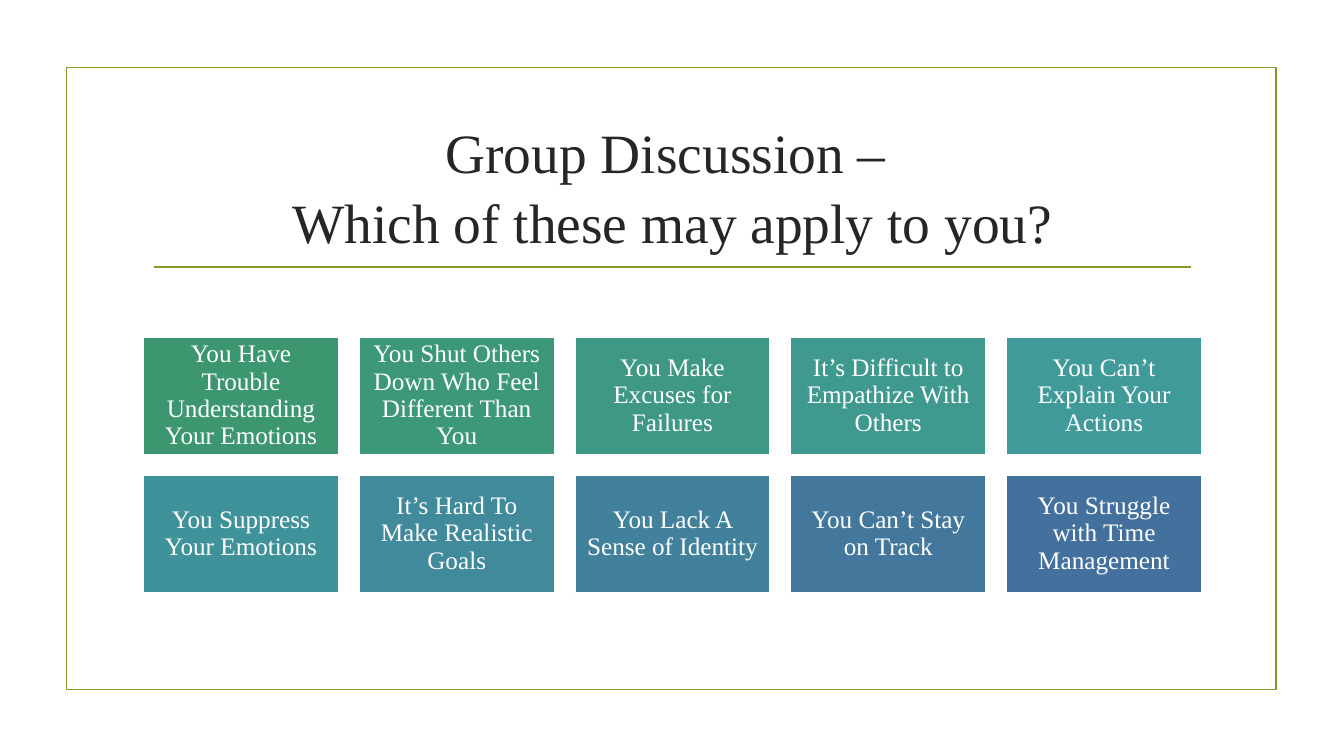
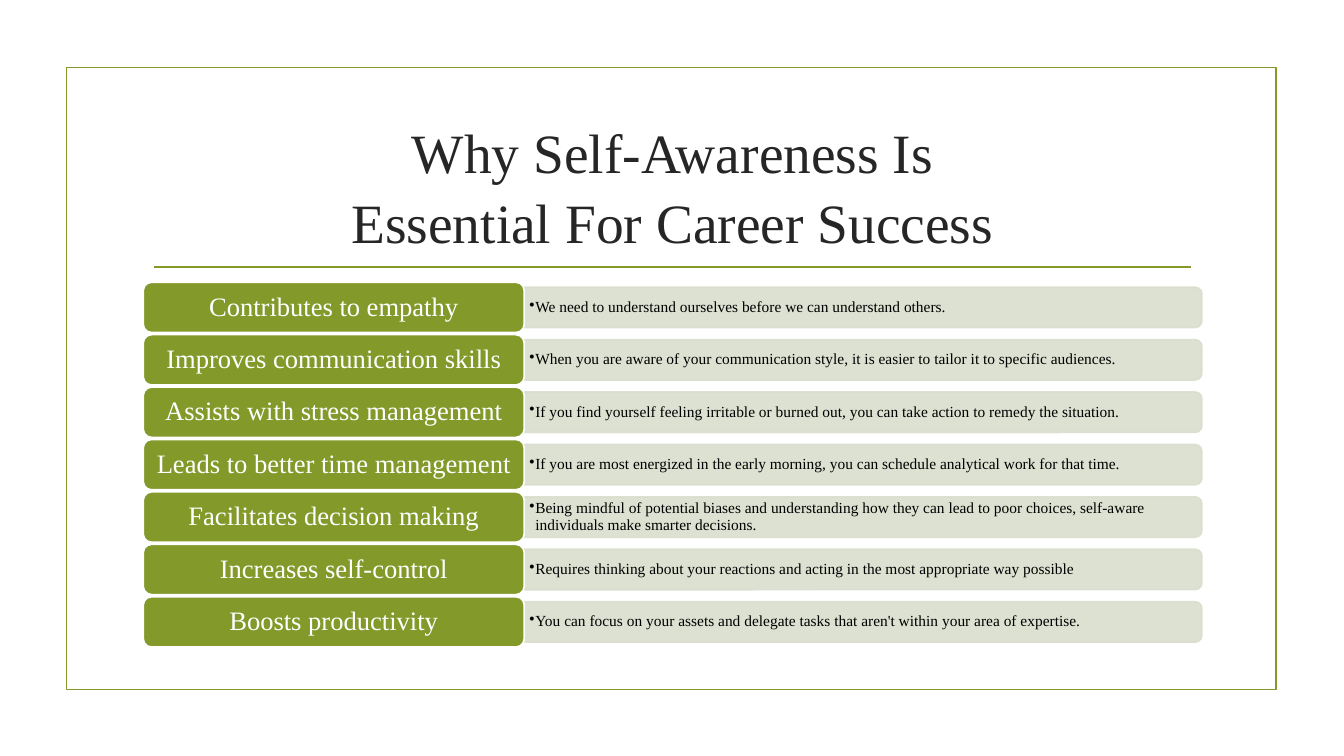
from lxml import etree
from pptx import Presentation
from pptx import util as u
from pptx.dml.color import RGBColor
from pptx.enum import shapes, text
from pptx.oxml.ns import qn

FONT = "Times New Roman"
OLIVE = RGBColor(0x83, 0x99, 0x2A)
SAGE = RGBColor(0xD9, 0xDE, 0xCD)
INK = RGBColor(0x26, 0x26, 0x26)
BLACK = RGBColor(0, 0, 0)
WHITE = RGBColor(0xFF, 0xFF, 0xFF)
RULE = u.Pt(1.25)

# Both slides share one content column inside the frame.
LEFT, WIDTH = 1.42, 10.5

TILES = [
    ("You Have Trouble Understanding Your Emotions", RGBColor(0x3C, 0x97, 0x70)),
    ("You Shut Others Down Who Feel Different Than You", RGBColor(0x3D, 0x98, 0x7A)),
    ("You Make Excuses for Failures", RGBColor(0x3E, 0x98, 0x84)),
    ("It’s Difficult to Empathize With Others", RGBColor(0x3F, 0x99, 0x8E)),
    ("You Can’t Explain Your Actions", RGBColor(0x3F, 0x9A, 0x99)),
    ("You Suppress Your Emotions", RGBColor(0x40, 0x92, 0x9A)),
    ("It’s Hard To Make Realistic Goals", RGBColor(0x41, 0x8A, 0x9B)),
    ("You Lack A Sense of Identity", RGBColor(0x42, 0x81, 0x9C)),
    ("You Can’t Stay on Track", RGBColor(0x43, 0x78, 0x9C)),
    ("You Struggle with Time Management", RGBColor(0x44, 0x70, 0x9D)),
]

BENEFITS = [
    ("Contributes to empathy",
     "We need to understand ourselves before we can understand others."),
    ("Improves communication skills",
     "When you are aware of your communication style, it is easier to tailor it "
     "to specific audiences."),
    ("Assists with stress management",
     "If you find yourself feeling irritable or burned out, you can take action "
     "to remedy the situation."),
    ("Leads to better time management",
     "If you are most energized in the early morning, you can schedule analytical "
     "work for that time."),
    ("Facilitates decision making",
     "Being mindful of potential biases and understanding how they can lead to poor "
     "choices, self-aware individuals make smarter decisions."),
    ("Increases self-control",
     "Requires thinking about your reactions and acting in the most appropriate "
     "way possible"),
    ("Boosts productivity",
     "You can focus on your assets and delegate tasks that aren't within your area "
     "of expertise."),
]


def add_box(page, preset, left, top, width, height, fill=None, line=WHITE):
    """Add a flat preset shape; without a preset, add a text box."""
    place = [u.Inches(length) for length in (left, top, width, height)]
    if preset is None:
        return page.shapes.add_textbox(*place)
    box = page.shapes.add_shape(preset, *place)
    box.shadow.inherit = False
    if fill is None:
        box.fill.background()
    else:
        box.fill.solid()
        box.fill.fore_color.rgb = fill
    box.line.color.rgb = line
    box.line.width = RULE
    return box


def write(box, words, size, color, inset, spacing=0.9, align=text.PP_ALIGN.CENTER, bullet=False):
    """Fill a box with one vertically centred paragraph; inset is (sides, top and bottom)."""
    frame = box.text_frame
    frame.word_wrap = True
    frame.vertical_anchor = text.MSO_ANCHOR.MIDDLE
    frame.margin_left = frame.margin_right = u.Inches(inset[0])
    frame.margin_top = frame.margin_bottom = u.Inches(inset[1])
    para = frame.paragraphs[0]
    para.text = words
    para.alignment = align
    para.line_spacing = spacing
    if bullet:
        properties = para._p.get_or_add_pPr()
        properties.set("marL", str(u.Inches(0.06)))
        properties.set("indent", str(-u.Inches(0.06)))
        etree.SubElement(properties, qn("a:buChar"), char="•")
    para.font.name = FONT
    para.font.size = u.Pt(size)
    para.font.color.rgb = color


deck = Presentation()
deck.slide_width, deck.slide_height = u.Inches(13.33), u.Inches(7.5)

# Frame, title and rule
pages = []
for title in ("Group Discussion – \vWhich of these may apply to you?",
              "Why Self-Awareness Is\vEssential For Career Success"):
    page = deck.slides.add_slide(deck.slide_layouts[6])
    add_box(page, shapes.MSO_SHAPE.RECTANGLE, 0.66, 0.67, 12, 6.17, line=OLIVE)
    rule = page.shapes.add_connector(
        shapes.MSO_CONNECTOR.STRAIGHT,
        u.Inches(1.53), u.Inches(2.65), u.Inches(11.81), u.Inches(2.65))
    rule.line.color.rgb = OLIVE
    rule.line.width = RULE
    etree.SubElement(rule._element.spPr, qn("a:effectLst"))
    heading = add_box(page, None, LEFT, 1.12, WIDTH, 1.43)
    write(heading, title, 39.6, INK, (0.1, 0.05), spacing=1.04)
    pages.append(page)
discussion, reasons = pages

# Discussion tiles, five to a row
COLUMNS, TILE_WIDTH, TILE_HEIGHT, TILE_TOP, GAP = 5, 1.94, 1.17, 3.34, 0.2
for index, (words, fill) in enumerate(TILES):
    row, column = divmod(index, COLUMNS)
    tile = add_box(discussion, shapes.MSO_SHAPE.RECTANGLE,
                   LEFT + column * (TILE_WIDTH + GAP), TILE_TOP + row * (TILE_HEIGHT + GAP),
                   TILE_WIDTH, TILE_HEIGHT, fill)
    write(tile, words, 18, WHITE, (0.07, 0.07))

# Benefit rows: a label and the band that explains it
LABEL_WIDTH, LABEL_HEIGHT, LABEL_TOP, PITCH = 0.36 * WIDTH, 0.5, 2.8, 0.52
BAND_LEFT, BAND_WIDTH, BAND_HEIGHT = LEFT + LABEL_WIDTH, 0.64 * WIDTH, 0.4
for row, (label_words, reason) in enumerate(BENEFITS):
    top = LABEL_TOP + row * PITCH
    middle = top + LABEL_HEIGHT / 2

    # The band stands upright before its quarter turn, which rounds its right end.
    band = add_box(reasons, shapes.MSO_SHAPE.ROUND_2_SAME_RECTANGLE,
                   BAND_LEFT + (BAND_WIDTH - BAND_HEIGHT) / 2, middle - BAND_WIDTH / 2,
                   BAND_HEIGHT, BAND_WIDTH, SAGE, SAGE)
    band.rotation = 90
    for color in band._element.spPr.iter(qn("a:srgbClr")):
        etree.SubElement(color, qn("a:alpha"), val="90000")

    note = add_box(reasons, None, BAND_LEFT, middle - 0.18, BAND_WIDTH - 0.02, 0.36)
    write(note, reason, 11, BLACK, (0.05, 0.02), align=text.PP_ALIGN.LEFT, bullet=True)

    label = add_box(reasons, shapes.MSO_SHAPE.ROUNDED_RECTANGLE,
                    LEFT, top, LABEL_WIDTH, LABEL_HEIGHT, OLIVE)
    write(label, label_words, 19, WHITE, (0.1, 0.06))

deck.save("out.pptx")
